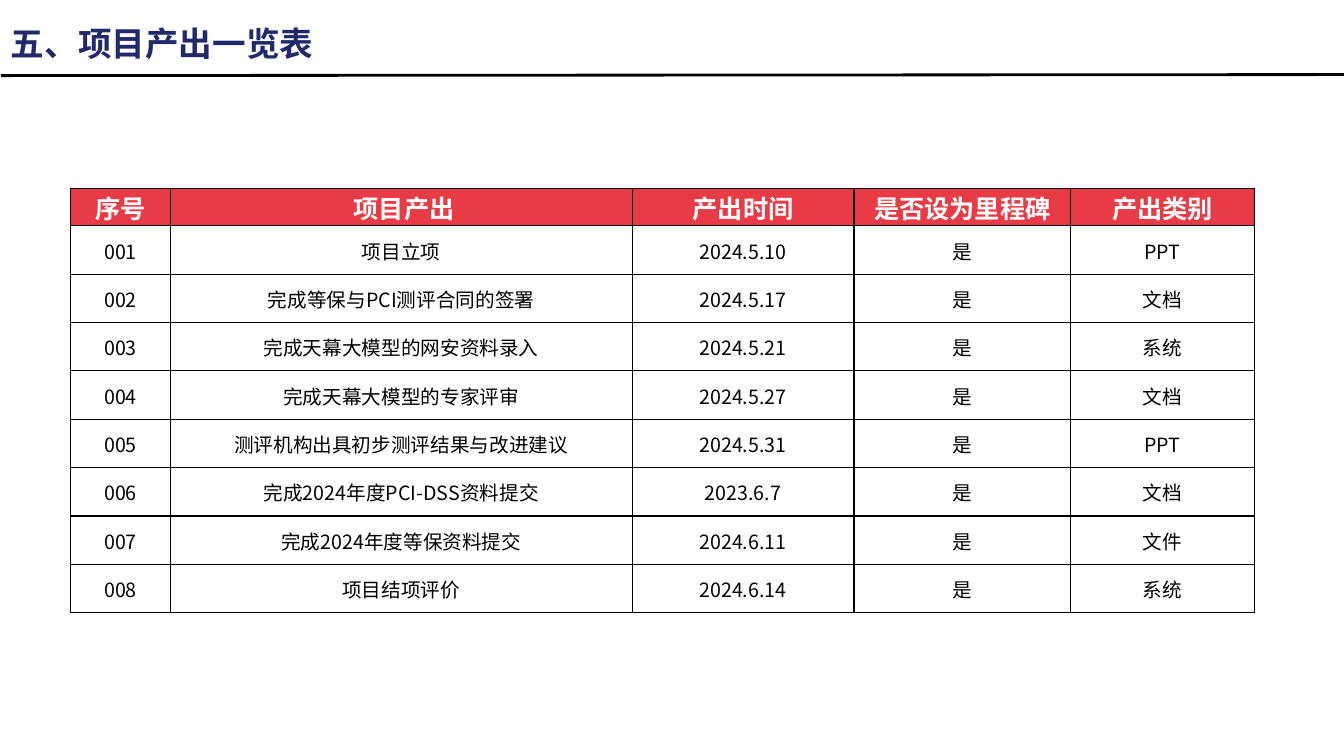
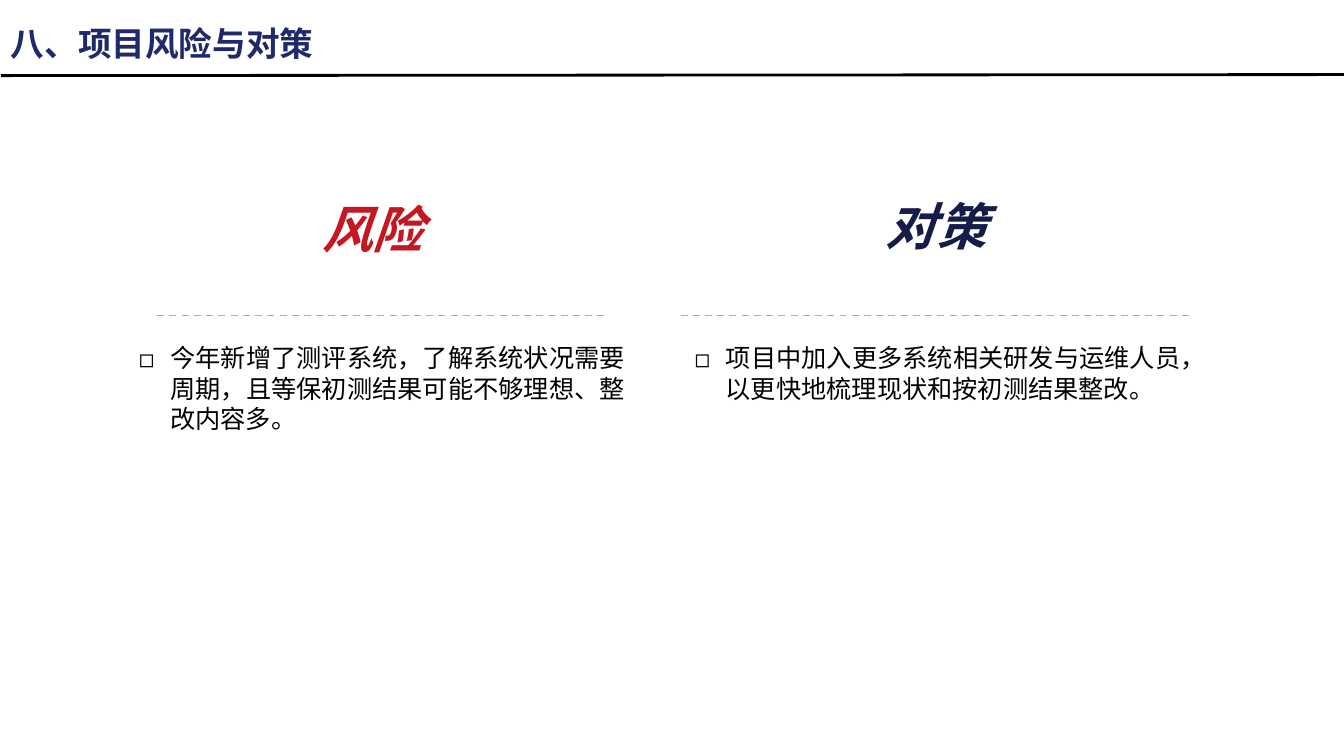
from pptx import Presentation, util as u
from pptx.dml.color import RGBColor
from pptx.enum import dml, shapes, text
from pptx.oxml.ns import qn
from lxml import etree

PX = 9144
FONT = "Noto Sans CJK SC"
BLACK = RGBColor(0x00, 0x00, 0x00)
WHITE = RGBColor(0xFF, 0xFF, 0xFF)
GREY = RGBColor(0xAC, 0xAC, 0xAC)
INDIGO = RGBColor(0x20, 0x2A, 0x6B)
NAVY = RGBColor(0x16, 0x1C, 0x48)
CRIMSON = RGBColor(0xC3, 0x17, 0x21)
CORAL = RGBColor(0xE8, 0x3B, 0x45)

TITLE = dict(size=24, bold=True, color=INDIGO)
HEADING = dict(size=36, bold=True, italic=True)
BODY = dict(size=18, color=BLACK)
TABLE_HEAD = dict(size=18, bold=True, color=WHITE)
TABLE_BODY = dict(size=14, bold=False, color=BLACK)

OUTPUT_COLUMNS = {"序号": 99, " 项目产出": 458, "产出时间": 220,
                  "是否设为里程碑": 215, "产出类别": 182}
OUTPUTS = [
    ("项目立项", "2024.5.10", "PPT"),
    ("完成等保与PCI测评合同的签署", "2024.5.17", "文档"),
    ("完成天幕大模型的网安资料录入", "2024.5.21", "系统"),
    ("完成天幕大模型的专家评审", "2024.5.27", "文档"),
    ("测评机构出具初步测评结果与改进建议", "2024.5.31", "PPT"),
    ("完成2024年度PCI-DSS资料提交", "2023.6.7", "文档"),
    ("完成2024年度等保资料提交", "2024.6.11", "文件"),
    ("项目结项评价", "2024.6.14", "系统"),
]


def px(*lengths):
    return [u.Emu(length * PX) for length in lengths]


def set_all(target, values):
    for name, value in values.items():
        setattr(target, name, value)


class Deck:
    def __init__(self):
        self.prs = Presentation()
        self.prs.slide_width, self.prs.slide_height = px(1333, 750)
        self.slide = None

    def new_slide(self, title):
        self.slide = self.prs.slides.add_slide(self.prs.slide_layouts[6])
        self.text(title, (1, 22, 736, 46), TITLE, dict(line_spacing=0.9),
                  margins=(10, 0, 10, 0), anchor=text.MSO_ANCHOR.MIDDLE)
        self.line((1, 75), (1335, 74), BLACK, 2)

    def fill_text(self, frame, words, style, layout):
        paragraph = frame.paragraphs[0]
        set_all(paragraph, layout)
        run = paragraph.add_run()
        run.text = words
        values = dict(style, name=FONT, size=u.Pt(style["size"]))
        run.font.color.rgb = values.pop("color")
        set_all(run.font, values)
        etree.SubElement(run.font._element, qn("a:ea"), typeface=FONT)
        return paragraph

    def text(self, words, box, style, layout, margins=(10, 5, 10, 5),
             anchor=text.MSO_ANCHOR.TOP):
        frame = self.slide.shapes.add_textbox(*px(*box)).text_frame
        sides = ("margin_left", "margin_top", "margin_right", "margin_bottom")
        set_all(frame, dict(zip(sides, px(*margins)), word_wrap=True,
                            vertical_anchor=anchor))
        return self.fill_text(frame, words, style, layout)

    def bullet(self, words, box):
        layout = dict(alignment=text.PP_ALIGN.JUSTIFY, line_spacing=u.Pt(22),
                      space_before=u.Pt(6), space_after=u.Pt(6))
        properties = self.text(words, box, BODY, layout)._p.get_or_add_pPr()
        indent = 31 * PX
        properties.set("marL", str(indent))
        properties.set("indent", str(-indent))
        etree.SubElement(properties, qn("a:buFont"), typeface=FONT)
        etree.SubElement(properties, qn("a:buChar"), char="◻")

    def line(self, start, end, color, width, dash=None):
        rule = self.slide.shapes.add_connector(
            shapes.MSO_CONNECTOR.STRAIGHT, *px(*start, *end))
        rule.line.color.rgb = color
        set_all(rule.line, dict(width=u.Pt(width), dash_style=dash))
        etree.SubElement(rule._element.spPr, qn("a:effectLst"))

    def table(self, left, top, columns, rows, head_height, row_height):
        grid_rows = [tuple(columns), *rows]
        widths = list(columns.values())
        height = head_height + row_height * len(rows)
        table = self.slide.shapes.add_table(
            len(grid_rows), len(widths),
            *px(left, top, sum(widths), height)).table
        set_all(table, dict(first_row=False, horz_banding=False))
        for column, width in zip(table.columns, px(*widths)):
            column.width = width
        for index, (row, entries) in enumerate(zip(table.rows, grid_rows)):
            head = index == 0
            row.height, = px(head_height if head else row_height)
            for cell, words in zip(row.cells, entries):
                self.cell(cell, words, TABLE_HEAD if head else TABLE_BODY,
                          CORAL if head else WHITE)

    def cell(self, cell, words, style, fill):
        margin, = px(1)
        set_all(cell, dict(margin_left=margin, margin_top=margin,
                           margin_right=margin, margin_bottom=0,
                           vertical_anchor=text.MSO_ANCHOR.MIDDLE))
        self.fill_text(cell.text_frame, words, style,
                       dict(alignment=text.PP_ALIGN.CENTER))
        properties = cell._tc.get_or_add_tcPr()
        for side in ("lnL", "lnR", "lnT", "lnB"):
            border = etree.SubElement(properties, qn("a:" + side),
                                      w=str(u.Pt(1)))
            paint = etree.SubElement(border, qn("a:solidFill"))
            etree.SubElement(paint, qn("a:srgbClr"), val=str(BLACK))
        cell.fill.solid()
        cell.fill.fore_color.rgb = fill


def outputs_slide(deck):
    deck.new_slide("五、项目产出一览表")
    rows = [(f"{number:03}", output, date, "是", kind)
            for number, (output, date, kind) in enumerate(OUTPUTS, 1)]
    deck.table(70, 187, OUTPUT_COLUMNS, rows, head_height=37, row_height=48)


def risks_slide(deck):
    deck.new_slide("八、项目风险与对策")
    panels = [
        ("风险", CRIMSON, (271, 185), (156, 602), (128, 334, 502, 101),
         "今年新增了测评系统，了解系统状况需要周期，且等保初测结果可能不够理想、整改内容多。"),
        ("对策", NAVY, (830, 182), (675, 1181), (679, 334, 502, 71),
         "项目中加入更多系统相关研发与运维人员，以更快地梳理现状和按初测结果整改。"),
    ]
    for heading, color, corner, (left, right), box, words in panels:
        deck.line((left, 313), (right, 313), GREY, 1.25,
                  dml.MSO_LINE.DASH)
        deck.text(heading, (*corner, 197, 81), dict(HEADING, color=color),
                  dict(alignment=text.PP_ALIGN.CENTER, line_spacing=u.Pt(44)),
                  margins=(10, 10, 10, 10))
        deck.bullet(words, box)


def main():
    deck = Deck()
    outputs_slide(deck)
    risks_slide(deck)
    deck.prs.save("out.pptx")


if __name__ == "__main__":
    main()
